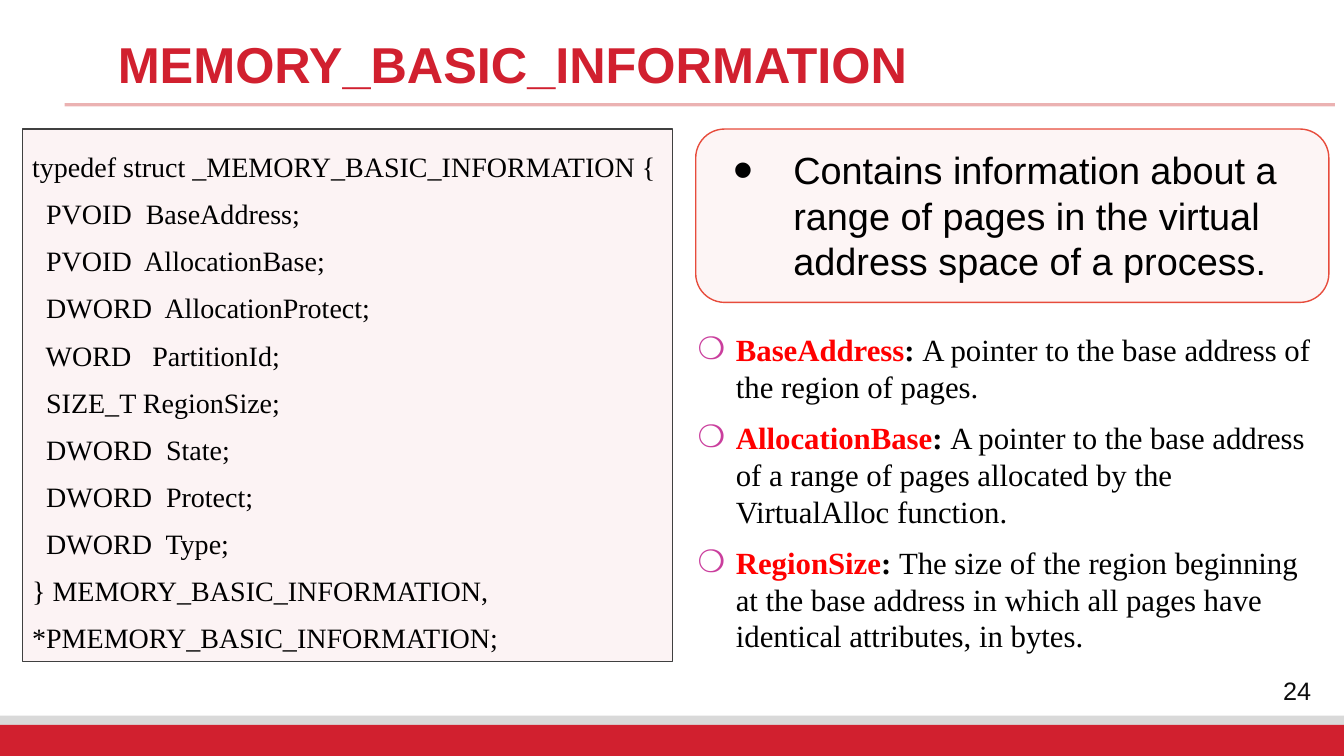
"""Build the MEMORY_BASIC_INFORMATION slide."""
from dataclasses import dataclass, field

from lxml.etree import SubElement
from pptx import Presentation
from pptx.dml.color import RGBColor as RGB
from pptx.enum.shapes import MSO_CONNECTOR as CONN, MSO_SHAPE as SHAPE
from pptx.enum.text import MSO_ANCHOR as ANCHOR, PP_ALIGN as ALIGN
from pptx.oxml.ns import qn
from pptx.util import Inches, Pt

COLORS = {
    "red": "D1202F", "coral": "E74C3C", "grey": "D9D9D9", "rule": "C00000",
    "border": "404040", "term": "FF0000", "bullet": "CA3E9D",
    "ink": "000000", "number": "0D0D0D",
}
SANS, SERIF = "Arial", "Times New Roman"


@dataclass
class Run:
    text: str
    color: str = "ink"
    bold: bool = False


@dataclass
class Bullet:
    char: str
    margin: float
    hang: float
    color: str = ""
    percent: int = 100


@dataclass
class Panel:
    box: tuple[float, float, float, float]
    shape: SHAPE
    fill: str
    alpha: int = 100
    line: str = ""
    width: float = 0


@dataclass
class Text:
    box: tuple[float, float, float, float]
    paras: list[list[Run]]
    size: float
    font: str
    anchor: ANCHOR = ANCHOR.TOP
    bullet: Bullet | None = None
    fmt: dict = field(default_factory=dict)


def rgb(name: str) -> RGB:
    return RGB.from_string(COLORS[name])


def set_alpha(parent, percent: int) -> None:
    clr = next(parent.iter(qn("a:srgbClr")))
    SubElement(clr, qn("a:alpha"), val=str(percent * 1000))


def draw_panel(s, panel: Panel) -> None:
    sp = s.shapes.add_shape(panel.shape, *map(Inches, panel.box))
    sp.shadow.inherit = False
    sp.fill.solid()
    sp.fill.fore_color.rgb = rgb(panel.fill)
    if panel.alpha < 100:
        set_alpha(sp.fill._xPr.find(qn("a:solidFill")), panel.alpha)
    if panel.line:
        sp.line.color.rgb = rgb(panel.line)
        sp.line.width = Pt(panel.width)
    else:
        sp.line.fill.background()


def draw_rule(s, x1: float, x2: float, y: float) -> None:
    cn = s.shapes.add_connector(CONN.STRAIGHT, *map(Inches, (x1, y, x2, y)))
    cn.line.color.rgb = rgb("rule")
    cn.line.width = Pt(2.25)
    set_alpha(cn.line._ln, 30)
    SubElement(cn._element.spPr, qn("a:effectLst"))


def add_bullet(p, b: Bullet) -> None:
    pPr = p._p.get_or_add_pPr()
    pPr.set("marL", str(Inches(b.margin)))
    pPr.set("indent", str(-Inches(b.hang)))
    if b.color:
        SubElement(SubElement(pPr, qn("a:buClr")), qn("a:srgbClr"), val=COLORS[b.color])
    SubElement(pPr, qn("a:buSzPct"), val=str(b.percent * 1000))
    SubElement(pPr, qn("a:buFont"), typeface=SANS)
    SubElement(pPr, qn("a:buChar"), char=b.char)


def draw_text(s, text: Text) -> None:
    tf = s.shapes.add_textbox(*map(Inches, text.box)).text_frame
    tf.word_wrap = True
    tf.vertical_anchor = text.anchor
    for i, runs in enumerate(text.paras):
        p = tf.paragraphs[0] if i == 0 else tf.add_paragraph()
        if text.bullet:
            add_bullet(p, text.bullet)
        for name, value in text.fmt.items():
            setattr(p, name, value)
        for run in runs:
            r = p.add_run()
            r.text = run.text
            font = {"name": text.font, "size": Pt(text.size), "bold": run.bold}
            for name, value in font.items():
                setattr(r.font, name, value)
            r.font.color.rgb = rgb(run.color)


CODE = [
    "typedef struct _MEMORY_BASIC_INFORMATION {",
    "  PVOID  BaseAddress;",
    "  PVOID  AllocationBase;",
    "  DWORD  AllocationProtect;",
    "  WORD   PartitionId;",
    "  SIZE_T RegionSize;",
    "  DWORD  State;",
    "  DWORD  Protect;",
    "  DWORD  Type;",
    "} MEMORY_BASIC_INFORMATION, *PMEMORY_BASIC_INFORMATION;",
]
MEMBERS = {
    "BaseAddress": "A pointer to the base address of the region of pages.",
    "AllocationBase": "A pointer to the base address of a range of pages "
                      "allocated by the VirtualAlloc function.",
    "RegionSize": "The size of the region beginning at the base address in which "
                  "all pages have identical attributes, in bytes.",
}
SUMMARY = ("Contains information about a range of pages in the virtual "
           "address space of a process.")
CODE_BOX = (0.22, 1.28, 6.45, 5.28)

PANELS = [
    Panel((0, 7.1, 13.33, 0.4), SHAPE.RECTANGLE, "grey"),
    Panel((0, 7.19, 13.33, 0.31), SHAPE.RECTANGLE, "red"),
    Panel(CODE_BOX, SHAPE.RECTANGLE, "red", 5, "border", 0.75),
    Panel((6.9, 1.28, 6.28, 1.72), SHAPE.ROUNDED_RECTANGLE, "coral", 5, "coral", 1),
]
TEXTS = [
    Text((12.41, 6.65, 0.91, 0.39), [[Run("24", "number")]], 18, SANS,
         ANCHOR.MIDDLE, fmt={"alignment": ALIGN.CENTER}),
    Text((1.07, 0.35, 11.37, 0.48), [[Run("MEMORY_BASIC_INFORMATION", "red", True)]],
         36, SANS, fmt={"line_spacing": 0.9}),
    Text((6.82, 3.23, 6.35, 3.51),
         [[Run(term, "term", True), Run(": ", bold=True), Run(meaning)]
          for term, meaning in MEMBERS.items()],
         22, SERIF, bullet=Bullet("❍", 0.38, 0.38, "bullet"),
         fmt={"space_after": Pt(10)}),
    Text(CODE_BOX, [[Run(line)] for line in CODE], 20, SERIF, ANCHOR.MIDDLE,
         fmt={"line_spacing": 1.4}),
    Text((6.98, 1.41, 6.12, 1.46), [[Run(SUMMARY)]], 27, SANS,
         bullet=Bullet("•", 0.79, 0.59, percent=150)),
]


def main() -> None:
    prs = Presentation()
    prs.slide_width, prs.slide_height = Inches(13.33), Inches(7.5)
    s = prs.slides.add_slide(prs.slide_layouts[6])
    for panel in PANELS:
        draw_panel(s, panel)
    draw_rule(s, 0.64, 13.24, 1.04)
    for text in TEXTS:
        draw_text(s, text)
    prs.save("out.pptx")


if __name__ == "__main__":
    main()
